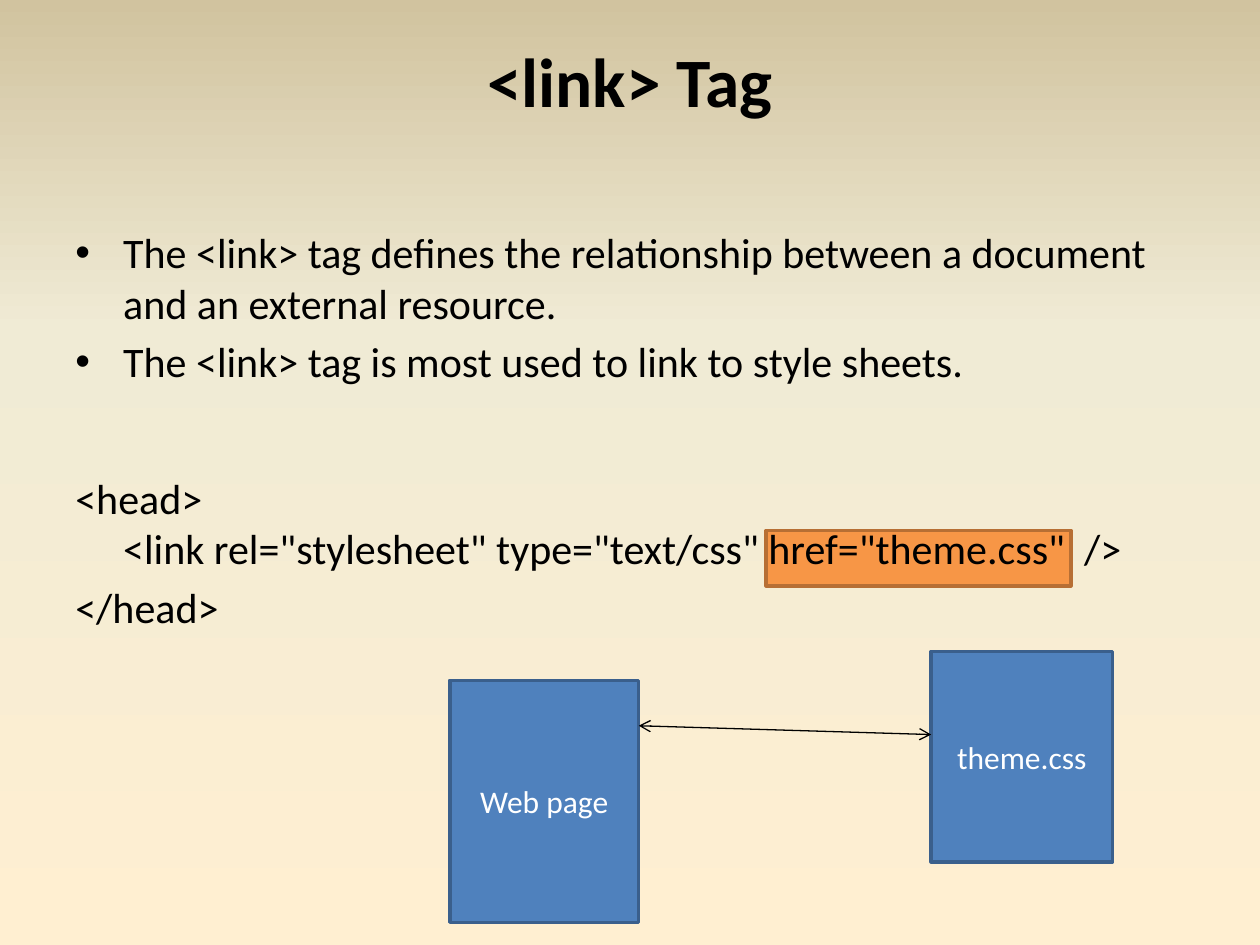
"""Build the slide that explains the HTML link tag."""
from copy import deepcopy
from dataclasses import dataclass

from lxml.etree import SubElement
from pptx import Presentation
from pptx.dml.color import RGBColor
from pptx.enum.shapes import MSO_CONNECTOR as Connector, MSO_SHAPE as Preset
from pptx.enum.text import MSO_ANCHOR as Anchor, MSO_AUTO_SIZE as AutoSize, PP_ALIGN as Align
from pptx.oxml.ns import qn
from pptx.slide import Slide
from pptx.text.text import _Paragraph as Paragraph
from pptx.util import Inches, Pt

FONT = "Calibri"
BACKGROUND_STOPS = ((0, "FFEFD1"), (0.65, "F0EBD5"), (1, "D1C39F"))


@dataclass
class Box:
    left: float
    top: float
    width: float
    height: float
    fill: str
    outline: str
    label: str = ""


@dataclass
class Passage:
    text: str
    bullet: bool = False
    space_before: float = 4.8


HREF_HIGHLIGHT = Box(6.08, 4.21, 2.42, 0.44, "F79646", "B76F34")
DOCUMENTS = (
    Box(3.57, 5.4, 1.5, 1.92, "4F81BD", "3A5F8C", "Web page"),
    Box(7.39, 5.17, 1.44, 1.67, "4F81BD", "3A5F8C", "theme.css"),
)
PASSAGES = (
    Passage("The <link> tag defines the relationship between a document and an external resource.", True),
    Passage("The <link> tag is most used to link to style sheets.", True),
    Passage('<head>\n<link rel="stylesheet" type="text/css" href="theme.css"  />', space_before=49),
    Passage("</head>"),
)


def color(value: str) -> RGBColor:
    return RGBColor.from_string(value)


def format_runs(paragraph: Paragraph, size: float, ink: str, bold: bool = False) -> None:
    for run in paragraph.runs:
        run.font.name = FONT
        run.font.size = Pt(size)
        run.font.bold = bold
        run.font.color.rgb = color(ink)


def paint_background(slide: Slide) -> None:
    fill = slide.background.fill
    fill.gradient()
    fill.gradient_angle = 90
    stop_list = slide.element.find(".//" + qn("a:gsLst"))
    stop_list.append(deepcopy(stop_list[-1]))
    for stop, (position, tint) in zip(fill.gradient_stops, BACKGROUND_STOPS):
        stop.position = position
        stop.color.rgb = color(tint)


def add_title(slide: Slide, text: str) -> None:
    title = slide.shapes.title
    title.left, title.top = Inches(0.5), Inches(0.3)
    title.width, title.height = Inches(9), Inches(1.25)
    frame = title.text_frame
    frame.text = text
    frame.auto_size = AutoSize.NONE
    frame.vertical_anchor = Anchor.TOP
    frame.margin_top = 0
    frame.paragraphs[0].alignment = Align.CENTER
    format_runs(frame.paragraphs[0], 39.6, "000000", bold=True)


def add_box(slide: Slide, box: Box) -> None:
    rectangle = slide.shapes.add_shape(
        Preset.RECTANGLE, Inches(box.left), Inches(box.top), Inches(box.width), Inches(box.height)
    )
    rectangle.shadow.inherit = False
    rectangle.fill.solid()
    rectangle.fill.fore_color.rgb = color(box.fill)
    rectangle.line.color.rgb = color(box.outline)
    rectangle.line.width = Pt(2)
    if box.label:
        frame = rectangle.text_frame
        frame.text = box.label
        frame.vertical_anchor = Anchor.MIDDLE
        frame.paragraphs[0].alignment = Align.CENTER
        format_runs(frame.paragraphs[0], 18, "FFFFFF")


def add_explanation(slide: Slide, passages: tuple[Passage, ...]) -> None:
    frame = slide.shapes.add_textbox(Inches(0.5), Inches(1.75), Inches(9), Inches(4.95)).text_frame
    frame.word_wrap = True
    for index, passage in enumerate(passages):
        paragraph = frame.add_paragraph() if index else frame.paragraphs[0]
        paragraph.text = passage.text
        paragraph.space_before = Pt(passage.space_before)
        format_runs(paragraph, 24, "000000")
        properties = paragraph._p.get_or_add_pPr()
        properties.set("marL", str(Inches(0.38)))
        properties.set("indent", str(Inches(-0.38)))
        if passage.bullet:
            SubElement(properties, qn("a:buFont"), typeface="Arial")
            SubElement(properties, qn("a:buChar"), char="•")
        else:
            SubElement(properties, qn("a:buNone"))


def add_double_arrow(slide: Slide, start: tuple[float, float], end: tuple[float, float]) -> None:
    arrow = slide.shapes.add_connector(Connector.STRAIGHT, *map(Inches, start + end))
    arrow.line.color.rgb = color("000000")
    arrow.line.width = Pt(0.75)
    outline = arrow.line._get_or_add_ln()
    for end_tag in ("a:headEnd", "a:tailEnd"):
        SubElement(outline, qn(end_tag), type="arrow")
    SubElement(arrow._element.spPr, qn("a:effectLst"))


def main() -> None:
    deck = Presentation()
    deck.slide_width, deck.slide_height = Inches(10), Inches(7.5)
    slide = deck.slides.add_slide(deck.slide_layouts.get_by_name("Title Only"))
    paint_background(slide)
    add_title(slide, "<link> Tag")
    add_box(slide, HREF_HIGHLIGHT)
    add_explanation(slide, PASSAGES)
    for document in DOCUMENTS:
        add_box(slide, document)
    add_double_arrow(slide, (5.07, 5.76), (7.39, 5.83))
    deck.save("out.pptx")


if __name__ == "__main__":
    main()
